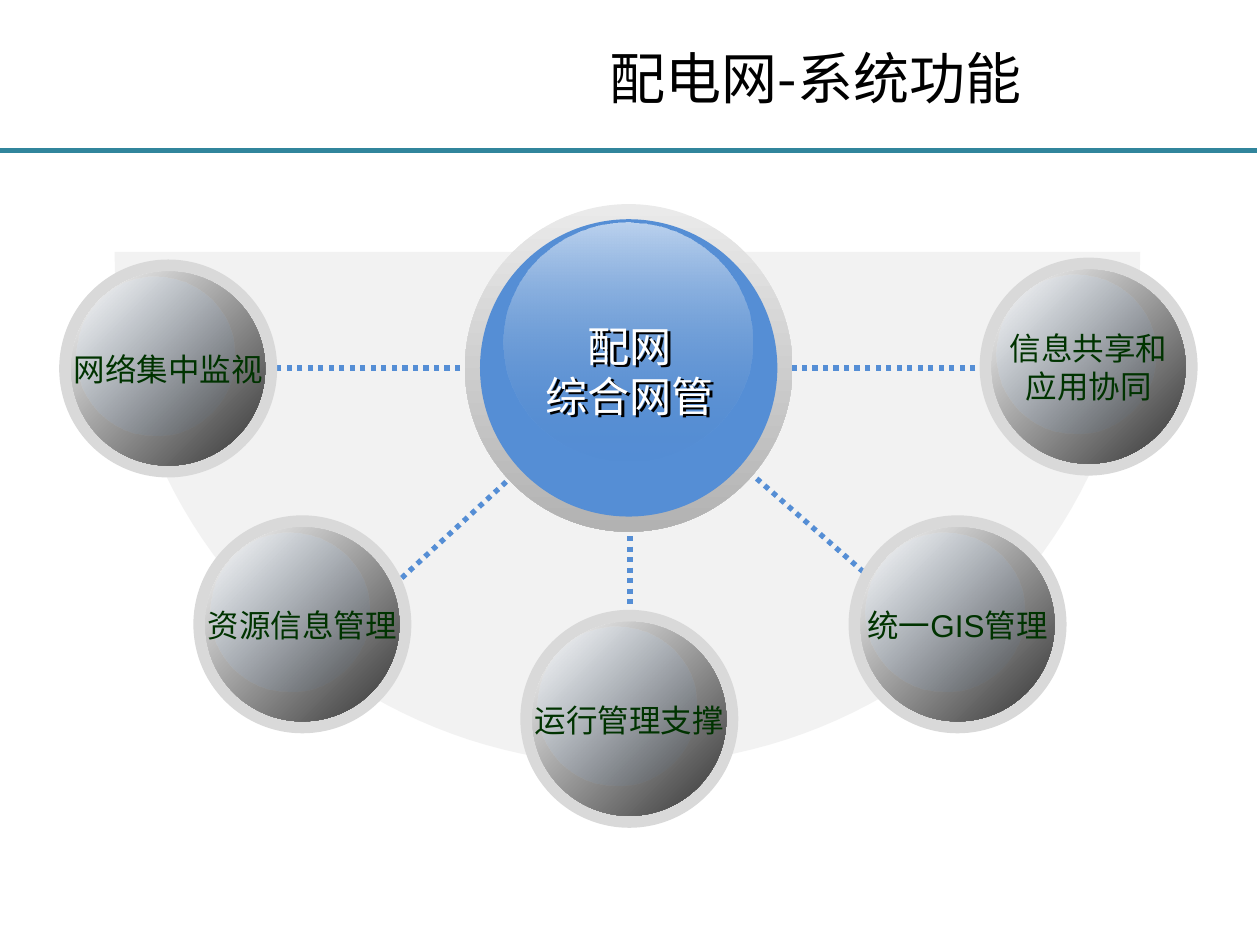
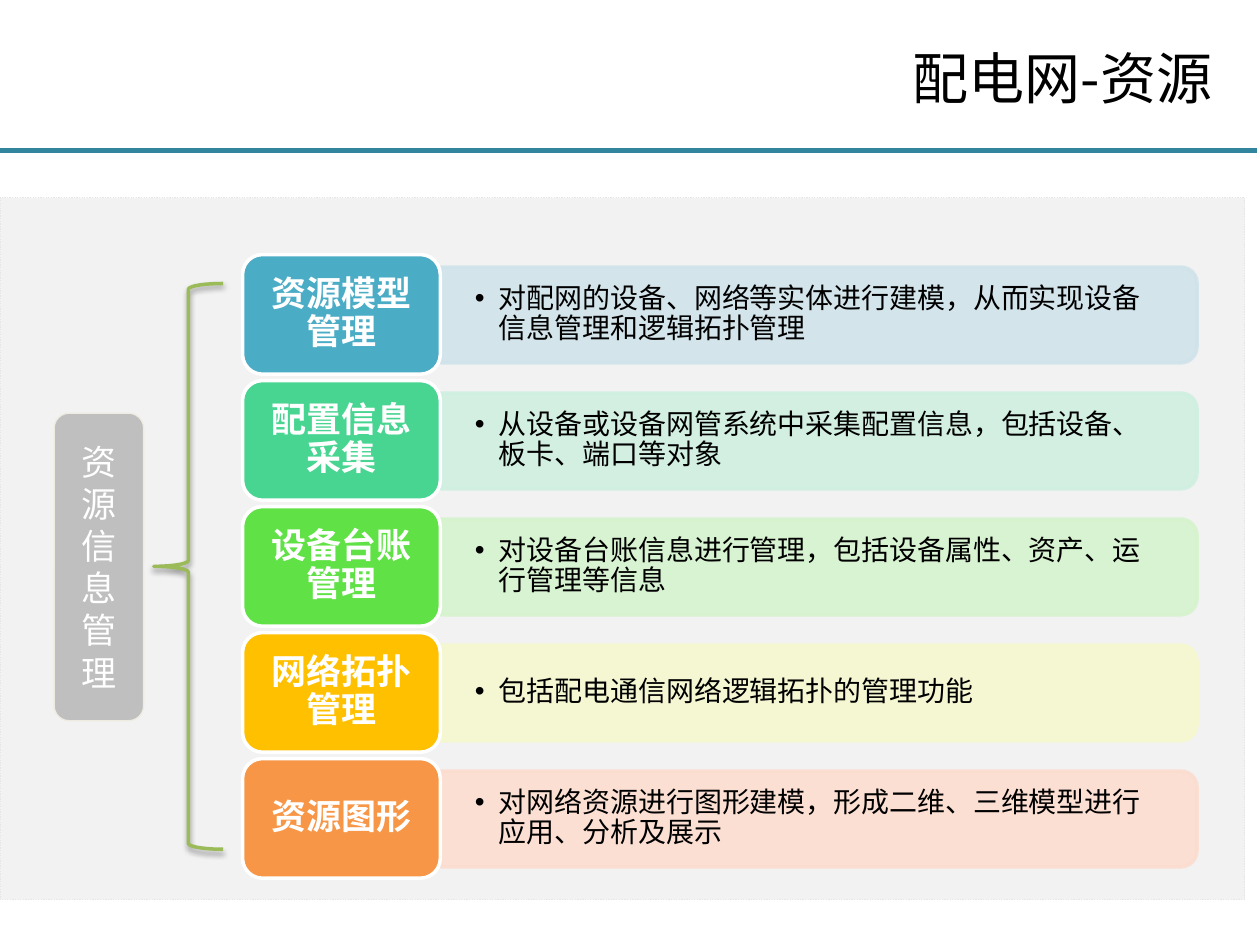
import math

from lxml import etree
from pptx import Presentation
from pptx import util as u
from pptx.dml.color import RGBColor
from pptx.enum import dml, shapes, text
from pptx.oxml.ns import qn

CJK = "Noto Sans CJK SC"
TEAL, BLUE, GLOSS = "31859C", "558ED5", "4F81BD"
WHITE, BLACK, PALE, DARK_GREEN = "FFFFFF", "000000", "F2F2F2", "003300"
KIND = shapes.MSO_SHAPE
ALIGN = text.PP_ALIGN
rgb = RGBColor.from_string


def draw(s, kind, box, *colors, angle=0, alphas=(), line=None, width=0.75, dash=None):
    """Add a shape: no colour is unfilled, one is solid, two are a clockwise gradient."""
    sp = s.shapes.add_shape(kind, *map(u.Inches, box))
    sp.shadow.inherit = False
    if len(colors) == 2:
        sp.fill.gradient()
        sp.fill.gradient_angle = 360 - angle
        for stop, color in zip(sp.fill.gradient_stops, colors):
            stop.color.rgb = rgb(color)
    elif colors:
        sp.fill.solid()
        sp.fill.fore_color.rgb = rgb(colors[0])
    else:
        sp.fill.background()
    if line:
        sp.line.color.rgb = rgb(line)
        sp.line.width = u.Pt(width)
        sp.line.dash_style = dash
    else:
        sp.line.fill.background()
    for clr, alpha in zip(sp._element.spPr.iter(qn("a:srgbClr")), alphas):
        etree.SubElement(clr, qn("a:alpha"), val=str(alpha * 1000))
    return sp


def write(sp, words, size, color, font="Arial", bold=False, align=ALIGN.CENTER, wrap=True,
          insets=(0.1, 0.05, 0.1, 0.05), spacing=None, bullet=None):
    """Fill a shape with text, one paragraph per line; bullet is the hanging indent."""
    tf = sp.text_frame
    tf.word_wrap = wrap
    tf.vertical_anchor = text.MSO_ANCHOR.MIDDLE
    tf.margin_left, tf.margin_top, tf.margin_right, tf.margin_bottom = map(u.Inches, insets)
    for i, words_line in enumerate(words.split("\n")):
        p = tf.add_paragraph() if i else tf.paragraphs[0]
        p.alignment = align
        p.line_spacing = spacing
        if bullet:
            pPr = p._p.get_or_add_pPr()
            pPr.set("marL", str(u.Inches(bullet)))
            pPr.set("indent", str(-u.Inches(bullet)))
            etree.SubElement(pPr, qn("a:buFont"), typeface="Arial")
            etree.SubElement(pPr, qn("a:buChar"), char="•")
        r = p.add_run()
        r.text = words_line
        r.font.size, r.font.bold = u.Pt(size), bold
        r.font.color.rgb = rgb(color)
        r.font.name = font
        etree.SubElement(r._r.get_or_add_rPr(), qn("a:ea"), typeface=CJK)


prs = Presentation()
prs.slide_width, prs.slide_height = u.Inches(10), u.Inches(7.5)

# Shared title and rule
slides = []
for title, align, left_inset in [("配电网-系统功能", ALIGN.CENTER, 2.52),
                                 ("配电网-资源", ALIGN.RIGHT, 0.12)]:
    s = prs.slides.add_slide(prs.slide_layouts[6])
    rule = s.shapes.add_connector(shapes.MSO_CONNECTOR.STRAIGHT, 0, u.Inches(1.195),
                                  u.Inches(9.98), u.Inches(1.195))
    rule.line.color.rgb = rgb(TEAL)
    rule.line.width = u.Pt(3)
    etree.SubElement(rule._element.spPr, qn("a:effectLst"))
    tb = s.shapes.add_textbox(*map(u.Inches, (0.8, 0.16, 8.92, 0.91)))
    write(tb, title, 32, BLACK, font=CJK, align=align, insets=(left_inset, 0.05, 0.1, 0.05))
    slides.append(s)
functions, resources = slides

# Slide 1: half disc behind the hub
s = functions
cx, cy, radius = 4.98, 2.0, 4.07
arc = [(u.Inches(cx + radius * math.cos(math.radians(a))),
        u.Inches(cy + radius * math.sin(math.radians(a)))) for a in range(0, 181, 2)]
builder = s.shapes.build_freeform(*arc[0])
builder.add_line_segments(arc[1:], close=True)
half_disc = builder.convert_to_shape()
half_disc.shadow.inherit = False
half_disc.fill.solid()
half_disc.fill.fore_color.rgb = rgb(PALE)
half_disc.line.fill.background()

# Dotted spokes
hub_x, hub_y = 5, 2.92
for x1, y1, x2, y2 in [(hub_x, hub_y, 2.49, 5.23), (hub_x, hub_y, hub_x, 6.07),
                       (hub_x, hub_y, 7.54, 5.14), (8.91, hub_y, 2.2, hub_y)]:
    spoke = s.shapes.add_connector(shapes.MSO_CONNECTOR.STRAIGHT,
                                   *map(u.Inches, (x1, y1, x2, y2)))
    spoke.line.color.rgb = rgb(BLUE)
    spoke.line.width = u.Pt(3)
    spoke.line.dash_style = dml.MSO_LINE.ROUND_DOT
    etree.SubElement(spoke._element.spPr, qn("a:effectLst"))

# Hub, with a shadow cast by its text
draw(s, KIND.OVAL, (3.69, 1.62, 2.6, 2.6), "EAEAEA", "B2B2B2", angle=90)
draw(s, KIND.OVAL, (3.81, 1.74, 2.36, 2.36), BLUE)
draw(s, KIND.OVAL, (4, 1.77, 1.97, 1.89), WHITE, GLOSS, angle=90, alphas=(60, 0))
tb = s.shapes.add_textbox(*map(u.Inches, (3.9, 2.43, 2.2, 1.02)))
write(tb, "配网\n综合网管", 24, WHITE, wrap=False)
effects = etree.SubElement(tb._element.spPr, qn("a:effectLst"))
outer = etree.SubElement(effects, qn("a:outerShdw"), dist=str(u.Pt(2)), dir="2700000")
etree.SubElement(outer, qn("a:srgbClr"), val=BLACK)

# Satellites: ring, ball, highlight and label around each centre
for x, y, label in [(1.335, 2.925, "网络集中监视"), (8.64, 2.91, "信息共享和\n应用协同"),
                    (4.995, 5.705, "运行管理支撑"), (7.6, 4.955, "统一GIS管理"),
                    (2.4, 4.955, "资源信息管理")]:
    draw(s, KIND.OVAL, (x - 0.865, y - 0.865, 1.73, 1.73), "D9D9D9")
    draw(s, KIND.OVAL, (x - 0.77, y - 0.77, 1.54, 1.54), WHITE, "333333", angle=45)
    draw(s, KIND.OVAL, (x - 0.73, y - 0.73, 1.26, 1.26), WHITE, GLOSS, angle=45,
         alphas=(40, 0))
    tb = s.shapes.add_textbox(*map(u.Inches, (x - 0.9, y - 0.23, 1.8, 0.47)))
    write(tb, label, 18, DARK_GREEN, wrap=False)

# Slide 2: panel and five rows
s = resources
draw(s, KIND.RECTANGLE, (0, 1.57, 9.88, 5.57), PALE, line="E6E6E6",
     dash=dml.MSO_LINE.ROUND_DOT)
rows = [
    ("资源模型管理", "4BACC6", "D0E3EA",
     "对配网的设备、网络等实体进行建模，从而实现设备信息管理和逻辑拓扑管理"),
    ("配置信息采集", "48D491", "CFEFE1",
     "从设备或设备网管系统中采集配置信息，包括设备、板卡、端口等对象"),
    ("设备台账管理", "60E146", "D6F4CE",
     "对设备台账信息进行管理，包括设备属性、资产、运行管理等信息"),
    ("网络拓扑管理", "FFC000", "F6F8CF", "包括配电通信网络逻辑拓扑的管理功能"),
    ("资源图形", "F79646", "FCDDCF",
     "对网络资源进行图形建模，形成二维、三维模型进行应用、分析及展示"),
]
for i, (name, strong, tint, detail) in enumerate(rows):
    bar = draw(s, KIND.ROUND_2_SAME_RECTANGLE, (6.12, i - 0.5, 0.76, 6), tint,
               line=tint, width=2, alphas=(90, 90))
    bar.rotation = 90
    tb = s.shapes.add_textbox(*map(u.Inches, (3.5, 2.15 + i, 5.96, 0.69)))
    write(tb, detail, 16, BLACK, font=CJK, align=ALIGN.LEFT, spacing=0.9, bullet=0.19,
          insets=(0.27, 0.14, 0.27, 0.14))
    tile = draw(s, KIND.ROUNDED_RECTANGLE, (1.925, 2.02 + i, 1.57, 0.95), strong,
                line=WHITE, width=2)
    write(tile, name, 20, WHITE, font=CJK, bold=True, spacing=0.9,
          insets=(0.08, 0.04, 0.08, 0.04))

# Topic and brace
topic = draw(s, KIND.ROUNDED_RECTANGLE, (0.43, 3.28, 0.71, 2.44), "BFBFBF", line="EEECE1")
write(topic, "资源信息管理", 20, WHITE)
brace = draw(s, KIND.LEFT_BRACE, (1.22, 2.25, 0.55, 4.49), line="9BBB59", width=2)
outer = etree.SubElement(brace._element.spPr.find(qn("a:effectLst")), qn("a:outerShdw"),
                         blurRad=str(u.Pt(3.1)), dist=str(u.Pt(1.6)), dir="5400000",
                         rotWithShape="0")
shade = etree.SubElement(outer, qn("a:srgbClr"), val=BLACK)
etree.SubElement(shade, qn("a:alpha"), val="38000")

prs.save("out.pptx")
